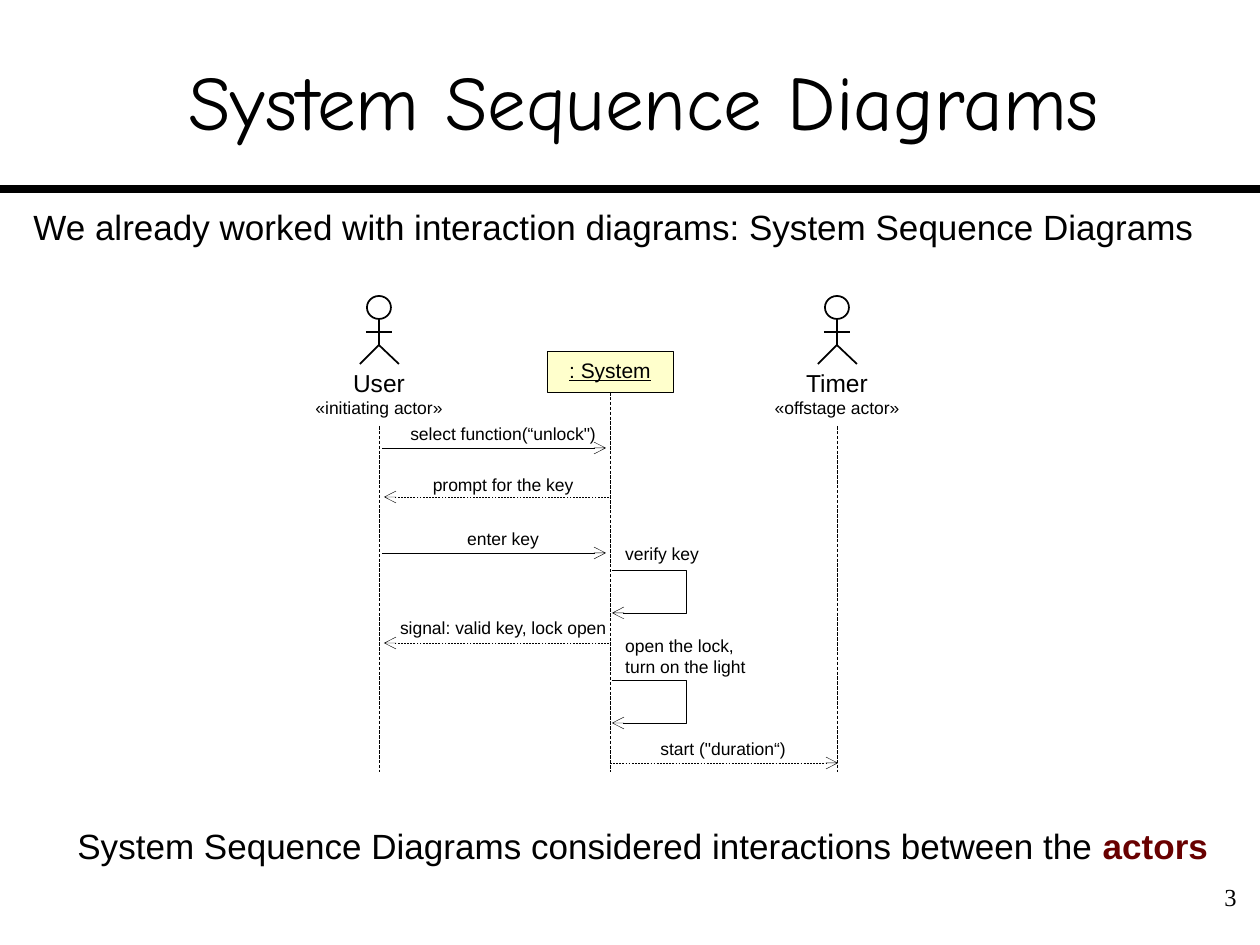
from lxml import etree
from pptx import Presentation
from pptx import util as u
from pptx.dml.color import RGBColor
from pptx.enum import dml, shapes, text
from pptx.oxml.ns import qn

EMU_PER_PX = 914400 / 126
BLACK = RGBColor(0x00, 0x00, 0x00)
CREAM = RGBColor(0xFF, 0xFF, 0xCC)
DARK_RED = RGBColor(0x68, 0x00, 0x00)
HAIRLINE, STROKE = 0.25, 1

USER_X, SYSTEM_X, TIMER_X = 379, 610, 837
LIFELINE_TOP, LIFELINE_END = 426, 772
LABEL_H = 21
CALL_LABEL_X, TIMER_LABEL_X = 503, 723

# start x, end x, line y, label centre, label top, label width, label, dash
MESSAGES = [
    (382, 606, 448, CALL_LABEL_X, 422, 210, "select function(“unlock\")", None),
    (609, 384, 497, CALL_LABEL_X, 473, 170, "prompt for the key", dml.MSO_LINE.DASH),
    (382, 606, 553, CALL_LABEL_X, 527, 110, "enter key", None),
    (609, 384, 643, CALL_LABEL_X, 616, 230, "signal: valid key, lock open", dml.MSO_LINE.DASH),
    (610, 838, 763, TIMER_LABEL_X, 737, 160, "start (\"duration“)", dml.MSO_LINE.DASH),
]
# loop top, label top, label lines
SELF_CALLS = [
    (570, 542, ["verify key"]),
    (680, 634, ["open the lock,", "turn on the light"]),
]


def px(value):
    return u.Emu(round(value * EMU_PER_PX))


def set_font(paragraph, size, name="Arial"):
    paragraph.font.size = u.Pt(size)
    paragraph.font.name = name
    paragraph.font.color.rgb = BLACK


def style_line(line, width, dash=None, arrow=False):
    line.color.rgb = BLACK
    line.width = u.Pt(width)
    if dash:
        line.dash_style = dash
    if arrow:
        outline = line._get_or_add_ln()
        etree.SubElement(outline, qn("a:tailEnd"), type="arrow")


def add_line(parent, x1, y1, x2, y2, width, dash=None, arrow=False):
    line = parent.add_connector(
        shapes.MSO_CONNECTOR.STRAIGHT, px(x1), px(y1), px(x2), px(y2))
    style_line(line.line, width, dash, arrow)
    etree.SubElement(line._element.spPr, qn("a:effectLst"))
    return line


def add_polyline(parent, points, width, arrow=False):
    builder = parent.build_freeform(*points[0], scale=EMU_PER_PX)
    builder.add_line_segments(points[1:], close=False)
    outline = builder.convert_to_shape()
    outline.shadow.inherit = False
    outline.fill.background()
    style_line(outline.line, width, arrow=arrow)


def add_text(parent, x, y, w, h, lines, sizes, align=text.PP_ALIGN.LEFT,
             inset=0, font="Arial", wrap=False):
    """Add one paragraph per line, each with its own size, and return the frame."""
    frame = parent.add_textbox(px(x), px(y), px(w), px(h)).text_frame
    frame.word_wrap = wrap
    frame.margin_left = frame.margin_right = u.Inches(inset)
    frame.margin_top = frame.margin_bottom = u.Inches(inset / 2)
    frame.text = "\n".join(lines)
    for paragraph, size in zip(frame.paragraphs, sizes):
        paragraph.alignment = align
        set_font(paragraph, size, font)
    return frame


def add_actor(parent, x, name, role):
    head = parent.add_shape(
        shapes.MSO_SHAPE.OVAL, px(x - 12), px(296), px(24), px(23))
    head.shadow.inherit = False
    head.fill.background()
    style_line(head.line, STROKE)
    add_line(parent, x, 319, x, 345, STROKE)
    add_line(parent, x - 13, 332, x + 13, 332, STROKE)
    add_polyline(parent, [(x - 19, 364), (x, 345), (x + 20, 364)], STROKE)
    add_text(parent, x - 80, 368, 160, 50, [name, role], [14, 10],
             text.PP_ALIGN.CENTER)
    add_line(parent, x, LIFELINE_TOP, x, LIFELINE_END, HAIRLINE,
             dml.MSO_LINE.LONG_DASH)


def add_system(parent):
    box = parent.add_shape(
        shapes.MSO_SHAPE.RECTANGLE, px(SYSTEM_X - 63), px(351), px(126), px(41))
    box.shadow.inherit = False
    box.fill.solid()
    box.fill.fore_color.rgb = CREAM
    style_line(box.line, HAIRLINE)
    frame = box.text_frame
    frame.word_wrap = False
    frame.margin_left = frame.margin_right = frame.margin_bottom = 0
    frame.vertical_anchor = text.MSO_ANCHOR.TOP
    frame.text = ": System"
    title = frame.paragraphs[0]
    title.alignment = text.PP_ALIGN.CENTER
    set_font(title, 12)
    title.font.underline = True
    lifeline = add_line(parent, SYSTEM_X, 392, SYSTEM_X, LIFELINE_END, HAIRLINE,
                        dml.MSO_LINE.LONG_DASH)
    lifeline.begin_connect(box, 2)


def add_message(parent, start, end, y, label_x, label_y, label_w, label, dash):
    add_line(parent, start, y, end, y, HAIRLINE, dash, arrow=True)
    add_text(parent, label_x - label_w / 2, label_y, label_w, LABEL_H,
             [label], [10], text.PP_ALIGN.CENTER, inset=0.01)


def add_self_call(parent, y, label_y, lines):
    left, right = 612, 686
    add_polyline(parent, [(left, y), (right, y), (right, y + 43), (left, y + 43)],
                 HAIRLINE, arrow=True)
    add_text(parent, 624, label_y, 160, LABEL_H * len(lines), lines,
             [10] * len(lines), inset=0.01)


def add_title(slide):
    title = slide.shapes.title
    title.left, title.top, title.width, title.height = map(px, (53, 21, 1182, 158))
    frame = title.text_frame
    frame.margin_left = frame.margin_right = 0
    frame.vertical_anchor = text.MSO_ANCHOR.MIDDLE
    frame.text = "System Sequence Diagrams"
    frame.paragraphs[0].alignment = text.PP_ALIGN.CENTER
    set_font(frame.paragraphs[0], 44, "Comic Neue")


def add_diagram(slide):
    diagram = slide.shapes.add_group_shape().shapes
    add_actor(diagram, USER_X, "User", "«initiating actor»")
    add_actor(diagram, TIMER_X, "Timer", "«offstage actor»")
    add_system(diagram)
    for message in MESSAGES:
        add_message(diagram, *message)
    for self_call in SELF_CALLS:
        add_self_call(diagram, *self_call)


def main():
    deck = Presentation()
    deck.slide_width, deck.slide_height = u.Inches(10), u.Inches(7.5)
    slide = deck.slides.add_slide(deck.slide_layouts[5])
    add_title(slide)
    add_line(slide.shapes, 0, 189, 1260, 189, 4.5)
    add_text(slide.shapes, 21, 199, 1187, 55,
             ["We already worked with interaction diagrams: System Sequence Diagrams"],
             [20], inset=0.1, wrap=True)
    add_diagram(slide)
    summary = add_text(
        slide.shapes, 65, 818, 1156, 55,
        ["System Sequence Diagrams considered interactions between the "],
        [20], inset=0.1, wrap=True)
    actors = summary.paragraphs[0].add_run()
    actors.text = "actors"
    actors.font.bold = True
    actors.font.color.rgb = DARK_RED
    add_text(slide.shapes, 1177, 876, 72, 63, ["3"], [14], text.PP_ALIGN.RIGHT,
             inset=0.1, font="Times New Roman", wrap=True)
    deck.save("out.pptx")


if __name__ == "__main__":
    main()
